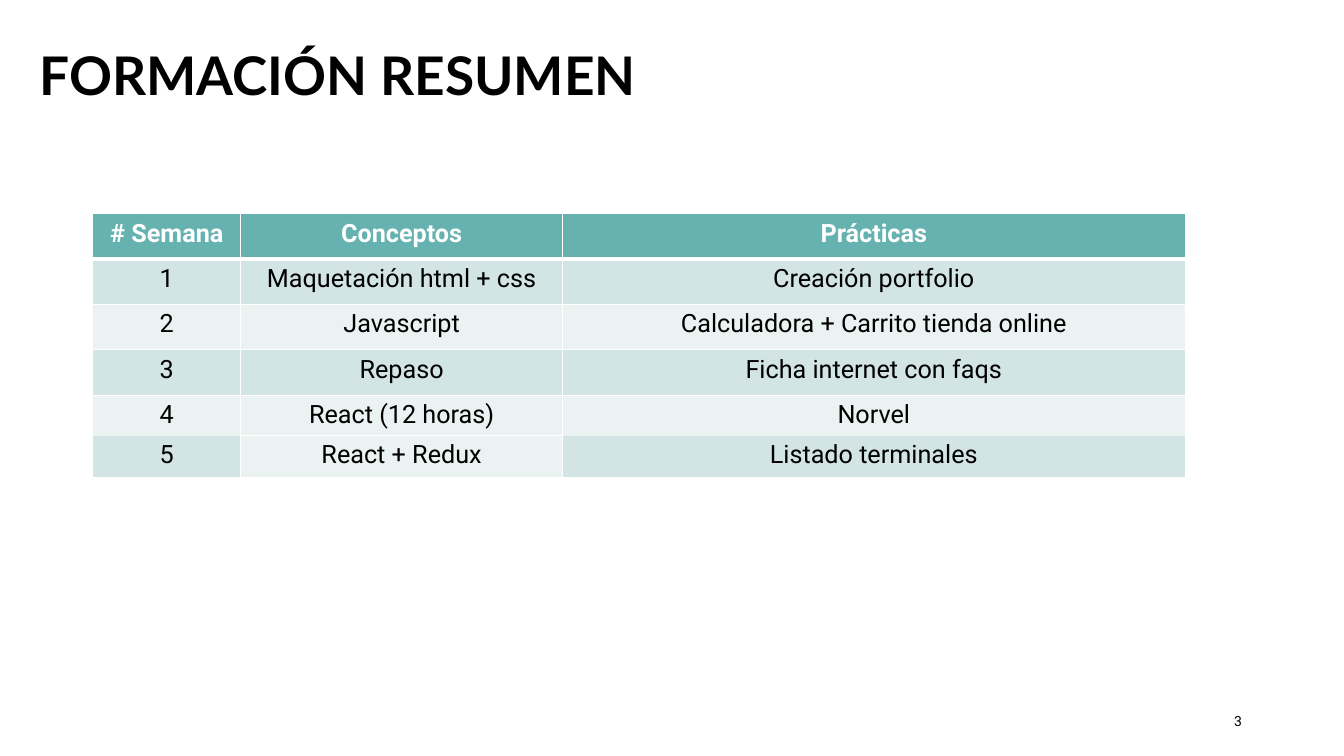
from lxml import etree
from pptx import Presentation
from pptx.dml.color import RGBColor
from pptx.enum import text
from pptx.oxml import ns
from pptx.util import Pt

BLACK = RGBColor(0x00, 0x00, 0x00)
WHITE = RGBColor(0xFF, 0xFF, 0xFF)
TEAL = RGBColor(0x66, 0xB2, 0xB0)
MINT = RGBColor(0xD3, 0xE4, 0xE4)
PALE = RGBColor(0xEA, 0xF2, 0xF2)

COURSE = [
    ("# Semana", "Conceptos", "Prácticas"),
    ("1", "Maquetación html + css", "Creación portfolio"),
    ("2", "Javascript", "Calculadora + Carrito tienda online"),
    ("3", "Repaso", "Ficha internet con faqs"),
    ("4", "React (12 horas)", "Norvel"),
    ("5", "React + Redux", "Listado terminales"),
]
COL_WIDTHS = (105.84, 229.68, 444.96)
ROW_HEIGHTS = (32.4, 32.4, 32.4, 32.4, 28.5, 30)


def write(tf, words, align, size, name="Roboto", color=BLACK, bold=False):
    p = tf.paragraphs[0]
    p.alignment = align
    r = p.add_run()
    r.text = words
    for key, value in dict(size=Pt(size), name=name, bold=bold).items():
        setattr(r.font, key, value)
    r.font.color.rgb = color
    return p


def place(sp, box):
    for key, value in zip(("left", "top", "width", "height"), box):
        setattr(sp, key, Pt(value))


def add_title(s, box, words):
    sp = s.shapes.title
    place(sp, box)
    tf = sp.text_frame
    for key, value in dict(word_wrap=True, auto_size=text.MSO_AUTO_SIZE.NONE,
                           vertical_anchor=text.MSO_ANCHOR.MIDDLE).items():
        setattr(tf, key, value)
    p = write(tf, words, text.PP_ALIGN.LEFT, 38, "Lato", bold=True)
    p.line_spacing = 0.9


def add_page_number(s, box, number):
    tf = s.shapes.add_textbox(*map(Pt, box)).text_frame
    tf.word_wrap = True
    tf.vertical_anchor = text.MSO_ANCHOR.MIDDLE
    write(tf, number, text.PP_ALIGN.RIGHT, 10)


def set_borders(cell, widths):
    """Draw white L, R, T and B borders; a width of 0 hides one."""
    tc_pr = cell._tc.get_or_add_tcPr()
    for side, width in zip("LRTB", widths):
        ln = etree.SubElement(tc_pr, ns.qn(f"a:ln{side}"), w=str(Pt(width)))
        if width:
            fill = etree.SubElement(ln, ns.qn("a:solidFill"))
            etree.SubElement(fill, ns.qn("a:srgbClr"), val=str(WHITE))
        else:
            etree.SubElement(ln, ns.qn("a:noFill"))


def rule_above(row, col):
    """Header rule is thick; weeks 4 and 5 are divided only under Conceptos."""
    if row == 1:
        return 3
    return 0 if row == 5 and col != 1 else 1


def cell_fill(row, col):
    if row == 0:
        return TEAL
    return MINT if row % 2 and (row, col) != (5, 1) else PALE


def add_course_table(s, left, top):
    box = (left, top, sum(COL_WIDTHS), sum(ROW_HEIGHTS))
    table = s.shapes.add_table(len(COURSE), len(COL_WIDTHS), *map(Pt, box)).table
    for column, width in zip(table.columns, COL_WIDTHS):
        column.width = Pt(width)
    for i, (row, height) in enumerate(zip(table.rows, ROW_HEIGHTS)):
        row.height = Pt(height)
        for j, cell in enumerate(row.cells):
            header = i == 0
            write(cell.text_frame, COURSE[i][j], text.PP_ALIGN.CENTER, 18,
                  color=WHITE if header else BLACK, bold=header)
            set_borders(cell, (1, 1, rule_above(i, j), rule_above(i + 1, j)))
            cell.fill.solid()
            cell.fill.fore_color.rgb = cell_fill(i, j)


def main():
    prs = Presentation()
    prs.slide_width, prs.slide_height = Pt(960), Pt(540)
    s = prs.slides.add_slide(prs.slide_layouts[5])
    add_title(s, (20.9, 10.8, 459.4, 90.7), "FORMACIÓN RESUMEN")
    add_page_number(s, (678.2, 500.4, 216, 28.8), "3")
    add_course_table(s, 66.24, 152.64)
    prs.save("out.pptx")


if __name__ == "__main__":
    main()
